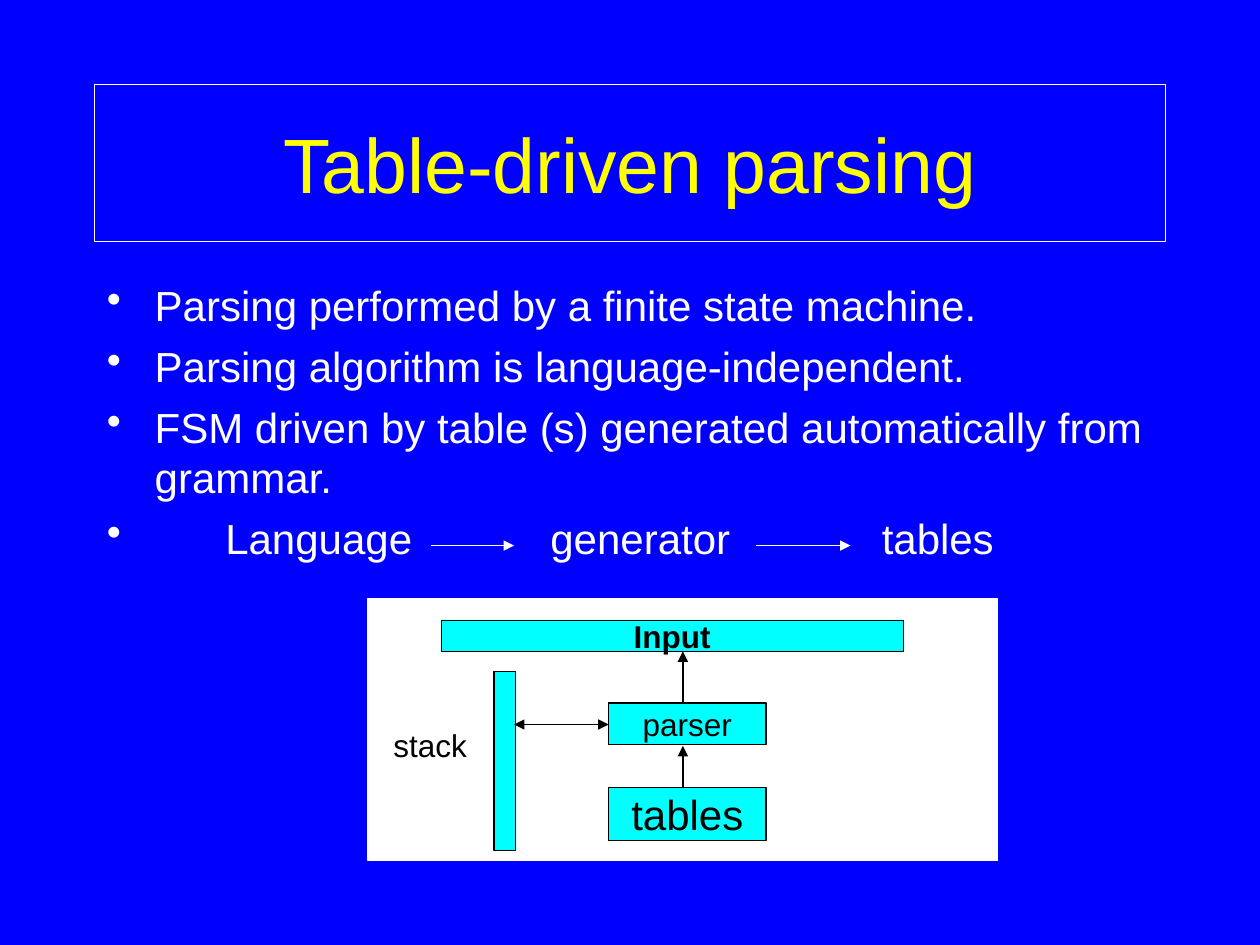
from lxml import etree
from pptx import Presentation
from pptx.dml.color import RGBColor
from pptx.enum.shapes import MSO_CONNECTOR as Connector, MSO_SHAPE as Shape
from pptx.enum.text import MSO_ANCHOR as Anchor, PP_ALIGN as Align
from pptx.oxml.ns import qn
from pptx.util import Inches, Pt

BLUE, WHITE, YELLOW, CYAN, BLACK = "0000FF", "FFFFFF", "FFFF00", "00FFFF", "000000"


def color(value):
    return RGBColor.from_string(value)


def apply(target, formats):
    for name, value in formats.items():
        setattr(target, name, value)


class SlideBuilder:
    """Holds the style and the current slide, and draws each kind of element."""

    font_name = "Arial"

    def __init__(self, deck, background):
        self.slide = deck.slides.add_slide(deck.slide_layouts[5])
        fill = self.slide.background.fill
        fill.solid()
        fill.fore_color.rgb = color(background)

    def style_font(self, paragraph, size, ink, bold=False):
        apply(paragraph.font, {"name": self.font_name, "size": Pt(size), "bold": bold})
        paragraph.font.color.rgb = color(ink)

    def outline(self, item, ink, width):
        item.line.color.rgb = color(ink)
        item.line.width = Pt(width)

    def write_centered(self, shape, text, size, ink, bold=False, wrap=False):
        frame = shape.text_frame
        apply(frame, {"text": text, "word_wrap": wrap, "vertical_anchor": Anchor.MIDDLE})
        paragraph = frame.paragraphs[0]
        paragraph.alignment = Align.CENTER
        self.style_font(paragraph, size, ink, bold)

    def title(self, text, left, top, width, height):
        heading = self.slide.shapes.title
        apply(heading, {"left": Inches(left), "top": Inches(top),
                        "width": Inches(width), "height": Inches(height)})
        self.outline(heading, WHITE, 0.5)
        self.write_centered(heading, text, 44, YELLOW, wrap=True)

    def bullets(self, items, tab_stops, left, top, width, height):
        body = self.slide.shapes.add_textbox(*map(Inches, (left, top, width, height)))
        frame = body.text_frame
        frame.word_wrap = True
        for index, item in enumerate(items):
            paragraph = frame.add_paragraph() if index else frame.paragraphs[0]
            paragraph.text = item
            properties = paragraph._p.get_or_add_pPr()
            properties.set("marL", str(Inches(0.38)))
            properties.set("indent", str(Inches(-0.38)))
            etree.SubElement(properties, qn("a:buChar"), char="•")
            if "\t" in item:
                tabs = etree.SubElement(properties, qn("a:tabLst"))
                for stop in tab_stops:
                    etree.SubElement(tabs, qn("a:tab"), pos=str(Inches(stop)), algn="l")
            paragraph.space_before = Pt(6 if index else 0)
            self.style_font(paragraph, 24, WHITE)

    def box(self, left, top, width, height, fill=CYAN, line=BLACK, line_width=0.75,
            text="", size=18, bold=False):
        shape = self.slide.shapes.add_shape(
            Shape.RECTANGLE, *map(Inches, (left, top, width, height)))
        shape.shadow.inherit = False
        shape.fill.solid()
        shape.fill.fore_color.rgb = color(fill)
        self.outline(shape, line, line_width)
        if text:
            self.write_centered(shape, text, size, BLACK, bold)

    def arrow(self, start, end, ink=BLACK, ends=("tailEnd",)):
        connector = self.slide.shapes.add_connector(
            Connector.STRAIGHT, *map(Inches, (*start, *end)))
        self.outline(connector, ink, 0.75)
        line = connector.line._get_or_add_ln()
        for end_name in ends:
            etree.SubElement(line, qn(f"a:{end_name}"), type="triangle")
        etree.SubElement(connector._element.spPr, qn("a:effectLst"))


def main():
    deck = Presentation()
    apply(deck, {"slide_width": Inches(10), "slide_height": Inches(7.5)})
    page = SlideBuilder(deck, BLUE)

    page.title("Table-driven parsing", 0.75, 0.67, 8.5, 1.25)
    page.bullets([
        "Parsing performed by a finite state machine.",
        "Parsing algorithm is language-independent.",
        "FSM driven by table (s) generated automatically from grammar.",
        "\tLanguage\tgenerator\ttables",
    ], (0.94, 3.52, 6.15), 0.75, 2.17, 8.5, 4.5)
    for start, end in ((3.42, 4.08), (6, 6.75)):
        page.arrow((start, 4.33), (end, 4.33), WHITE)

    page.box(2.92, 4.75, 5, 2.08, WHITE, WHITE)
    page.box(4.83, 5.58, 1.25, 0.33, text="parser")
    page.box(3.92, 5.33, 0.17, 1.42)
    page.box(3.5, 4.92, 3.67, 0.25, line_width=0.25, text="Input", bold=True)
    page.box(4.83, 6.25, 1.25, 0.42, text="tables", size=24)
    page.box(3, 5.75, 0.83, 0.33, WHITE, WHITE, text="stack")

    for start, end in ((6.25, 5.92), (5.58, 5.17)):
        page.arrow((5.42, start), (5.42, end))
    page.arrow((4.08, 5.75), (4.83, 5.75), ends=("headEnd", "tailEnd"))

    deck.save("out.pptx")


if __name__ == "__main__":
    main()
